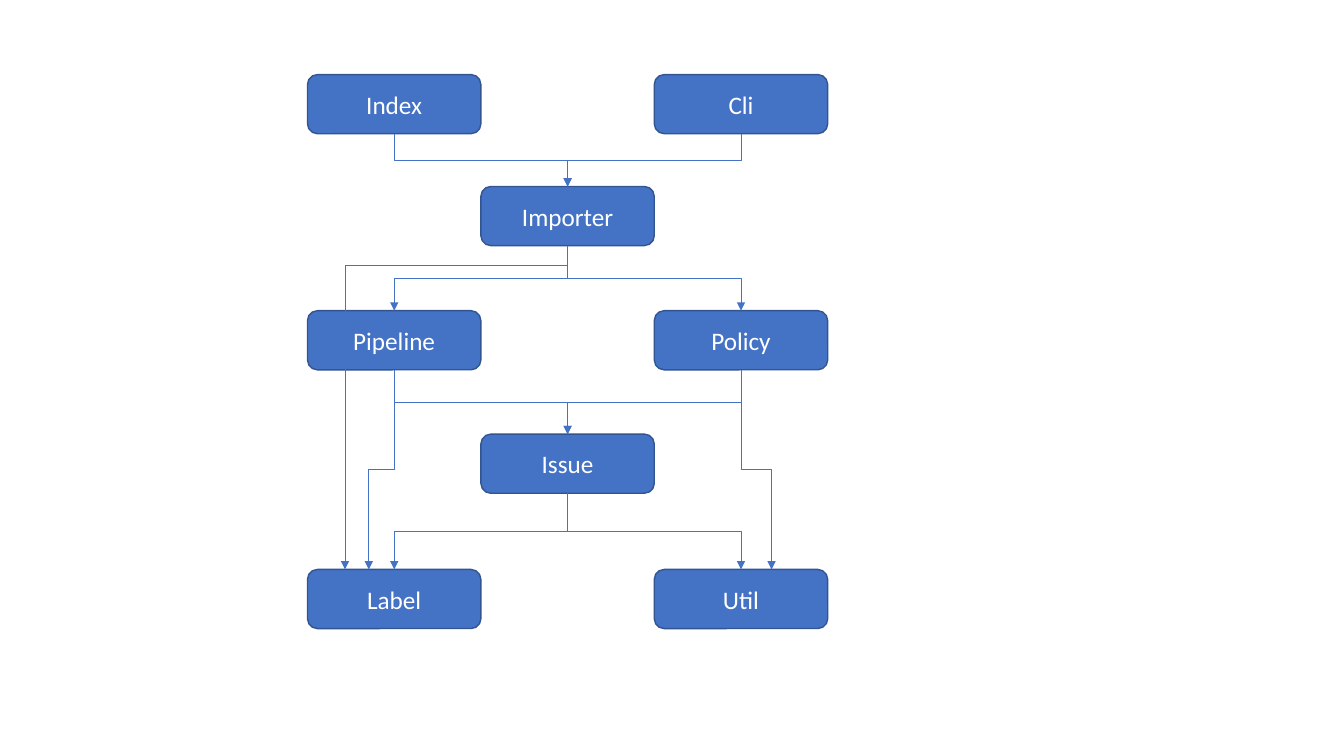
from dataclasses import dataclass

import lxml.etree
import pptx
import pptx.dml.color
import pptx.enum.shapes
import pptx.enum.text
import pptx.oxml.ns
import pptx.shapes.autoshape
import pptx.slide
import pptx.util
from pptx.util import Cm

MODULE_WIDTH, MODULE_HEIGHT = 4.37, 1.49
FIRST_COLUMN = 7.75
ROW_TOPS = [1.88, 4.7, 7.83, 10.94, 14.35]
BLUE, DARK_BLUE, WHITE = "4472C4", "325491", "FFFFFF"
TOP_SITE, BOTTOM_SITE = 0, 2


@dataclass(frozen=True)
class Module:
    name: str
    column: int
    row: int

    @property
    def left(self) -> float:
        return FIRST_COLUMN + self.column * MODULE_WIDTH

    @property
    def centre(self) -> float:
        return self.left + MODULE_WIDTH / 2

    @property
    def top(self) -> float:
        return ROW_TOPS[self.row]

    @property
    def bottom(self) -> float:
        return self.top + MODULE_HEIGHT


@dataclass(frozen=True)
class Dependency:
    user: str
    used: str
    end_shift: float = 0  # cm from the centre of the used module
    bend: float = 0.5  # share of the drop before the turn


MODULES = [
    Module("Index", 0, 0),
    Module("Cli", 2, 0),
    Module("Importer", 1, 1),
    Module("Pipeline", 0, 2),
    Module("Policy", 2, 2),
    Module("Issue", 1, 3),
    Module("Label", 0, 4),
    Module("Util", 2, 4),
]

DEPENDENCIES = [
    Dependency("Index", "Importer"),
    Dependency("Cli", "Importer"),
    Dependency("Importer", "Pipeline"),
    Dependency("Importer", "Policy"),
    Dependency("Pipeline", "Issue"),
    Dependency("Policy", "Issue"),
    Dependency("Issue", "Label"),
    Dependency("Issue", "Util"),
    Dependency("Pipeline", "Label", end_shift=-0.64),
    Dependency("Policy", "Util", end_shift=0.77),
    Dependency("Importer", "Label", end_shift=-1.24, bend=0.06),
]


def colour(hex_code: str) -> pptx.dml.color.RGBColor:
    return pptx.dml.color.RGBColor.from_string(hex_code)


def draw_module(slide: pptx.slide.Slide, module: Module) -> pptx.shapes.autoshape.Shape:
    box = slide.shapes.add_shape(
        pptx.enum.shapes.MSO_SHAPE.ROUNDED_RECTANGLE,
        Cm(module.left), Cm(module.top), Cm(MODULE_WIDTH), Cm(MODULE_HEIGHT),
    )
    box.shadow.inherit = False
    box.fill.solid()
    box.fill.fore_color.rgb = colour(BLUE)
    box.line.color.rgb = colour(DARK_BLUE)
    box.line.width = pptx.util.Pt(1)
    box.text_frame.vertical_anchor = pptx.enum.text.MSO_ANCHOR.MIDDLE
    label = box.text_frame.paragraphs[0]
    label.text = module.name
    label.alignment = pptx.enum.text.PP_ALIGN.CENTER
    label.font.name = "Calibri"
    label.font.size = pptx.util.Pt(18)
    label.font.color.rgb = colour(WHITE)
    return box


def draw_dependency(
    slide: pptx.slide.Slide,
    dependency: Dependency,
    modules: dict[str, Module],
    boxes: dict[str, pptx.shapes.autoshape.Shape],
) -> None:
    user, used = modules[dependency.user], modules[dependency.used]
    end_x = used.centre + dependency.end_shift
    drop, shift = used.top - user.bottom, end_x - user.centre
    arrow = slide.shapes.add_connector(
        pptx.enum.shapes.MSO_CONNECTOR.ELBOW,
        Cm(user.centre), Cm(user.bottom), Cm(end_x), Cm(used.top),
    )
    if not dependency.end_shift:
        arrow.begin_connect(boxes[user.name], BOTTOM_SITE)
        arrow.end_connect(boxes[used.name], TOP_SITE)

    # Turn the elbow a quarter so that it leaves downwards
    arrow.width, arrow.height = Cm(drop), Cm(abs(shift))
    arrow.left = Cm((user.centre + end_x - drop) / 2)
    arrow.top = Cm((user.bottom + used.top - abs(shift)) / 2)
    properties = arrow.element.spPr
    frame = properties.find(pptx.oxml.ns.qn("a:xfrm"))
    frame.set("rot", str((270 if shift > 0 else 90) * 60000))
    frame.set("flipH", "1" if shift > 0 else "0")
    frame.set("flipV", "0")
    guides = properties.find(".//" + pptx.oxml.ns.qn("a:avLst"))
    lxml.etree.SubElement(
        guides, pptx.oxml.ns.qn("a:gd"),
        name="adj1", fmla=f"val {round(dependency.bend * 100000)}",
    )

    # Line, arrowhead and no shadow
    arrow.line.color.rgb = colour(BLUE)
    arrow.line.width = pptx.util.Pt(0.5)
    outline = properties.find(pptx.oxml.ns.qn("a:ln"))
    lxml.etree.SubElement(outline, pptx.oxml.ns.qn("a:tailEnd"), type="triangle")
    lxml.etree.SubElement(properties, pptx.oxml.ns.qn("a:effectLst"))


def main() -> None:
    presentation = pptx.Presentation()
    presentation.slide_width, presentation.slide_height = Cm(33.87), Cm(19.05)
    blank_layout = presentation.slide_layouts.get_by_name("Blank")
    slide = presentation.slides.add_slide(blank_layout)

    # Modules, then the arrows between them
    modules = {module.name: module for module in MODULES}
    boxes = {module.name: draw_module(slide, module) for module in MODULES}
    for dependency in DEPENDENCIES:
        draw_dependency(slide, dependency, modules, boxes)

    presentation.save("out.pptx")


if __name__ == "__main__":
    main()
